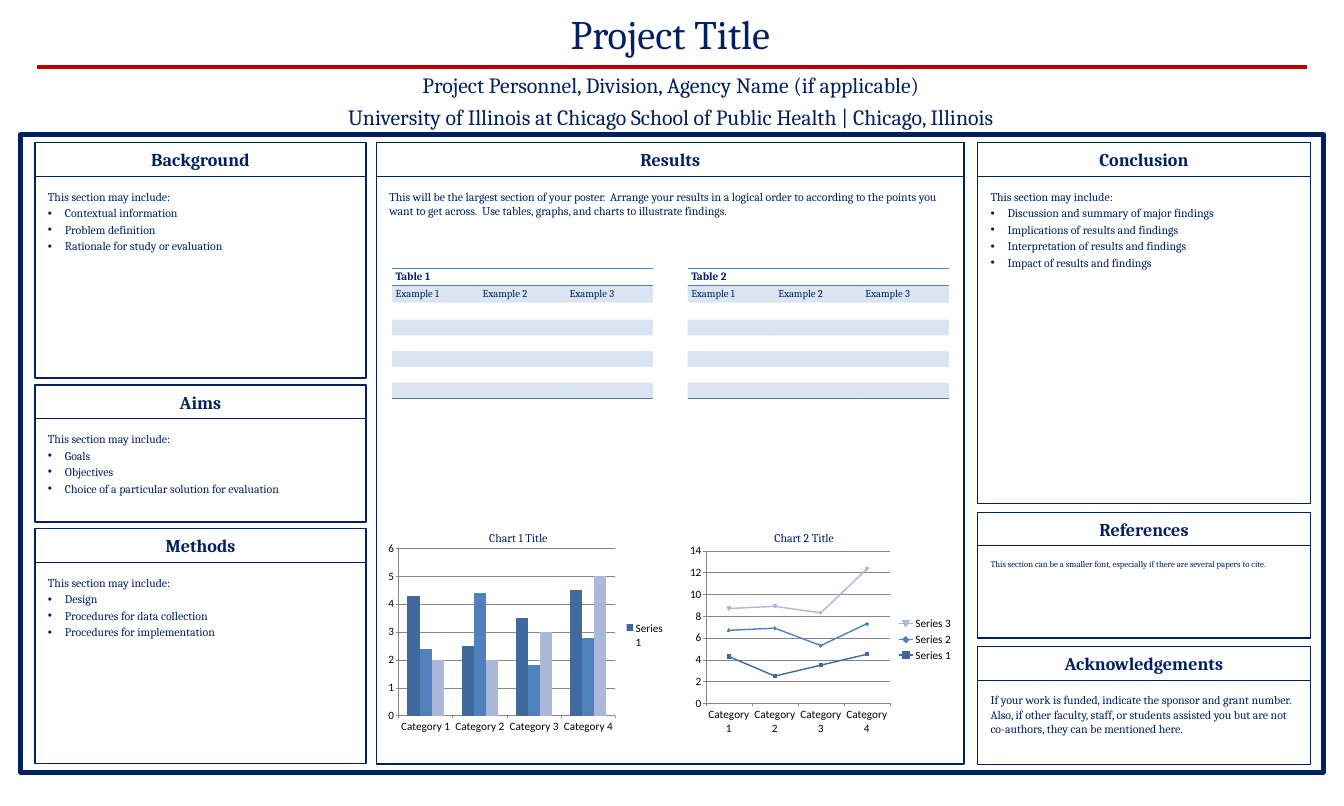
from lxml import etree
from pptx import Presentation
from pptx import util as u
from pptx.chart.data import CategoryChartData
from pptx.dml.color import RGBColor
from pptx.enum import chart as charts, shapes, text
from pptx.oxml import parse_xml
from pptx.oxml.ns import nsdecls, qn

# Content
TITLE = "Project Title"
CREDITS = [
    "Project Personnel, Division, Agency Name (if applicable)",
    "University of Illinois at Chicago School of Public Health | Chicago, Illinois",
]
INTRO = "This section may include:"
RESULTS = (
    "This will be the largest section of your poster.  Arrange your results in a logical "
    "order to according to the points you want to get across.  Use tables, graphs, and "
    "charts to illustrate findings."
)
REFERENCES = "This section can be a smaller font, especially if there are several papers to cite."
FUNDING = (
    "If your work is funded, indicate the sponsor and grant number.  Also, if other faculty, "
    "staff, or students assisted you but are not co-authors, they can be mentioned here."
)
COLUMNS = {"left": (0.78, 7.39), "middle": (8.4, 13.12), "right": (21.82, 7.43)}
# column, top, body height, heading, lead text, bullets, type size
PANELS = [
    ("left", 3.19, 4.5, "Background", INTRO,
     ["Contextual information", "Problem definition", "Rationale for study or evaluation"], "body"),
    ("left", 8.6, 2.31, "Aims", INTRO,
     ["Goals", "Objectives", "Choice of a particular solution for evaluation"], "body"),
    ("left", 11.81, 4.5, "Methods", INTRO,
     ["Design", "Procedures for data collection", "Procedures for implementation"], "body"),
    ("middle", 3.19, 13.12, "Results", RESULTS, [], "body"),
    ("right", 3.19, 7.31, "Conclusion", INTRO,
     ["Discussion and summary of major findings", "Implications of results and findings",
      "Interpretation of results and findings", "Impact of results and findings"], "body"),
    ("right", 11.44, 2.06, "References", REFERENCES, [], "small"),
    ("right", 14.44, 1.88, "Acknowledgements", FUNDING, [], "body"),
]
TABLES = [("Table 1", 8.75), ("Table 2", 15.35)]
TABLE_HEADS = ["Example 1", "Example 2", "Example 3"]
ROW_HEIGHTS = [0.38] * 3 + [0.35] * 5
CATEGORIES = ["Category 1", "Category 2", "Category 3", "Category 4"]
SERIES = {
    "Series 1": (4.3, 2.5, 3.5, 4.5),
    "Series 2": (2.4, 4.4, 1.8, 2.8),
    "Series 3": (2, 2, 3, 5),
}
# title, title left, chart left, chart width, type
CHARTS = [
    ("Chart 1 Title", 9.38, 8.61, 6.46, charts.XL_CHART_TYPE.COLUMN_CLUSTERED),
    ("Chart 2 Title", 15.76, 15.28, 6.11, charts.XL_CHART_TYPE.LINE_MARKERS_STACKED),
]


class Theme:
    serif, sans = "Cambria", "Calibri"
    navy, red, blue, black, grid = (
        RGBColor.from_string(c) for c in ("002060", "C00000", "4F81BD", "000000", "878787"))
    series = [RGBColor.from_string(c) for c in ("406A9D", "4F81BD", "AAB8D9")]
    sizes = {"title": 65, "credits": 35, "heading": 29, "body": 19, "table": 18,
             "cell": 17, "empty": 16, "small": 14, "chart": 18}


MIDDLE = text.MSO_ANCHOR.MIDDLE
CENTER = text.PP_ALIGN.CENTER


def apply(target, formats):
    for name, value in formats.items():
        setattr(target, name, value)


def set_font(font, size, color=Theme.navy, name=Theme.serif, bold=False):
    apply(font, {"size": u.Pt(Theme.sizes[size]), "name": name, "bold": bold})
    font.color.rgb = color


def set_frame(frame, inset_x, inset_y, anchor=text.MSO_ANCHOR.TOP):
    apply(frame, {"margin_left": u.Inches(inset_x), "margin_right": u.Inches(inset_x),
                  "margin_top": u.Inches(inset_y), "margin_bottom": u.Inches(inset_y),
                  "vertical_anchor": anchor, "word_wrap": True,
                  "auto_size": text.MSO_AUTO_SIZE.NONE})


def write(frame, lines, size, bold=False, bullets_from=None, **formats):
    for index, line in enumerate(lines):
        paragraph = frame.paragraphs[0] if index == 0 else frame.add_paragraph()
        apply(paragraph, formats)
        run = paragraph.add_run()
        run.text = line
        set_font(run.font, size, bold=bold)
        if bullets_from is not None and index >= bullets_from:
            paragraph.space_before = u.Pt(0.2 * Theme.sizes[size])
            props = paragraph._p.get_or_add_pPr()
            props.set("marL", str(u.Inches(0.38)))
            props.set("indent", str(u.Inches(-0.38)))
            etree.SubElement(props, qn("a:buFont")).set("typeface", "Arial")
            etree.SubElement(props, qn("a:buChar")).set("char", "•")


def add_box(left, top, width, height, weight):
    box = slide.shapes.add_shape(shapes.MSO_SHAPE.RECTANGLE, *map(u.Inches, (left, top, width, height)))
    box.shadow.inherit = False
    box.fill.background()
    box.line.color.rgb = Theme.navy
    box.line.width = u.Pt(weight)
    return box


def add_label(lines, size, left, top, width, height, inset_x, inset_y, **formats):
    label = slide.shapes.add_textbox(*map(u.Inches, (left, top, width, height))).text_frame
    set_frame(label, inset_x, inset_y, formats.pop("anchor", text.MSO_ANCHOR.TOP))
    write(label, lines, size, alignment=CENTER, **formats)


def add_border(cell, *sides):
    for place, side in enumerate(sides):
        cell._tc.get_or_add_tcPr().insert(place, parse_xml(
            f'<a:{side} {nsdecls("a")} w="12700"><a:solidFill><a:srgbClr val="{Theme.blue}"/>'
            f'</a:solidFill></a:{side}>'))


def add_results_table(title, left):
    frame = slide.shapes.add_table(len(ROW_HEIGHTS), len(TABLE_HEADS), *map(
        u.Inches, (left, 6, 5.83, sum(ROW_HEIGHTS))))
    table = frame.table
    apply(table, {"first_row": False, "horz_banding": False})
    table._tbl.tblPr.find(qn("a:tableStyleId")).text = "{2D5ABB26-0587-4C30-8999-92F81FD0307C}"
    for row, height in zip(table.rows, ROW_HEIGHTS):
        row.height = u.Inches(height)
    table.cell(0, 0).merge(table.cell(0, len(TABLE_HEADS) - 1))
    for r in range(len(ROW_HEIGHTS)):
        for c, head in enumerate(TABLE_HEADS):
            cell = table.cell(r, c)
            apply(cell, {"margin_left": u.Inches(0.08), "margin_right": u.Inches(0.08),
                         "margin_top": u.Inches(0.04), "margin_bottom": u.Inches(0.04)})
            if r == 0 and c == 0:
                write(cell.text_frame, [title], "table", bold=True)
            elif r == 1:
                write(cell.text_frame, [head], "cell")
            else:
                end = cell.text_frame.paragraphs[0]._p.get_or_add_endParaRPr()
                end.set("sz", str(Theme.sizes["empty"] * 100))
            # Every second row is tinted
            if r % 2:
                cell.fill.solid()
                cell.fill.fore_color.rgb = Theme.blue
                tint = cell._tc.tcPr.find(".//" + qn("a:srgbClr"))
                etree.SubElement(tint, qn("a:alpha")).set("val", "20000")
            else:
                cell.fill.background()
            if r == 0:
                add_border(cell, "lnT", "lnB")
            elif r == len(ROW_HEIGHTS) - 1:
                add_border(cell, "lnB")


def manual_layout(x, y, w, h, target=""):
    return parse_xml(
        f'<c:layout {nsdecls("c")}><c:manualLayout>{target}<c:xMode val="edge"/><c:yMode val="edge"/>'
        f'<c:x val="{x}"/><c:y val="{y}"/><c:w val="{w}"/><c:h val="{h}"/></c:manualLayout></c:layout>')


def add_results_chart(title, title_left, left, width, kind):
    data = CategoryChartData()
    data.categories = CATEGORIES
    for name, values in SERIES.items():
        data.add_series(name, values)
    chart = slide.shapes.add_chart(kind, *map(u.Inches, (left, 12.06, width, 4.44)), data).chart
    apply(chart, {"has_title": False, "has_legend": True})
    set_font(chart.font, "chart", Theme.black, Theme.sans)
    apply(chart.legend, {"position": charts.XL_LEGEND_POSITION.RIGHT, "include_in_layout": False})
    for axis in (chart.category_axis, chart.value_axis):
        axis.major_tick_mark = charts.XL_TICK_MARK.OUTSIDE
        axis.format.line.color.rgb = Theme.grid
    chart.value_axis.major_gridlines.format.line.color.rgb = Theme.grid
    plot = chart.plots[0]
    plot.vary_by_categories = False
    columns = kind == charts.XL_CHART_TYPE.COLUMN_CLUSTERED
    for series, color in zip(plot.series, Theme.series):
        if columns:
            series.format.fill.solid()
            series.format.fill.fore_color.rgb = color
        else:
            series.smooth = False
            series.format.line.color.rgb = color
            series.format.line.width = u.Pt(2.25)
            series.marker.format.fill.solid()
            series.marker.format.fill.fore_color.rgb = color
    if columns:
        plot.gap_width = 150
        area = chart._chartSpace.chart.plotArea
        for old in area.findall(qn("c:layout")):
            area.remove(old)
        area.insert(0, manual_layout(0.044, 0.041, 0.75, 0.843, '<c:layoutTarget val="inner"/>'))
        # The legend lists the first series only
        legend = chart.legend._element
        for old in legend.findall(qn("c:layout")):
            legend.remove(old)
        legend.insert(1, manual_layout(0.82, 0.4, 0.15, 0.16))
        for hidden in (2, 1):
            legend.insert(1, parse_xml(f'<c:legendEntry {nsdecls("c")}><c:idx val="{hidden}"/>'
                                       '<c:delete val="1"/></c:legendEntry>'))
    add_label([title], "body", title_left, 11.81, 4.38, 0.4, 0.08, 0.04)


prs = Presentation()
apply(prs, {"slide_width": u.Inches(30), "slide_height": u.Inches(18)})
slide = prs.slides.add_slide(prs.slide_layouts[5])

# Frame, title, rule and credits
add_box(0.46, 3, 29.08, 14.25, 7)
heading = slide.shapes.title
apply(heading, {"left": u.Inches(0.8), "top": 0, "width": u.Inches(28.33), "height": u.Inches(1.5)})
set_frame(heading.text_frame, 0.26, 0.13, MIDDLE)
write(heading.text_frame, [TITLE], "title", alignment=CENTER, space_after=u.Pt(9.6), space_before=u.Pt(0))
rule = slide.shapes.add_connector(shapes.MSO_CONNECTOR.STRAIGHT, *map(u.Inches, (0.83, 1.5, 29.17, 1.5)))
rule.line.color.rgb = Theme.red
rule.line.width = u.Pt(7)
etree.SubElement(rule._element.spPr, qn("a:effectLst"))
add_label(CREDITS, "credits", 0.83, 1.5, 28.29, 1.5, 0.26, 0.13, anchor=MIDDLE, space_after=u.Pt(9.6))

# Panels: a heading bar over a body box
for column, top, height, name, lead, bullets, size in PANELS:
    left, width = COLUMNS[column]
    body = add_box(left, top + 0.75, width, height, 2).text_frame
    set_frame(body, 0.29, 0.29)
    write(body, [lead] + bullets, size, bullets_from=1, alignment=text.PP_ALIGN.LEFT)
    bar = add_box(left, top, width, 0.75, 2).text_frame
    set_frame(bar, 0.29, 0.29, MIDDLE)
    write(bar, [name], "heading", bold=True, alignment=CENTER)

# Results tables and charts
for entry in TABLES:
    add_results_table(*entry)
for entry in CHARTS:
    add_results_chart(*entry)

prs.save("out.pptx")
